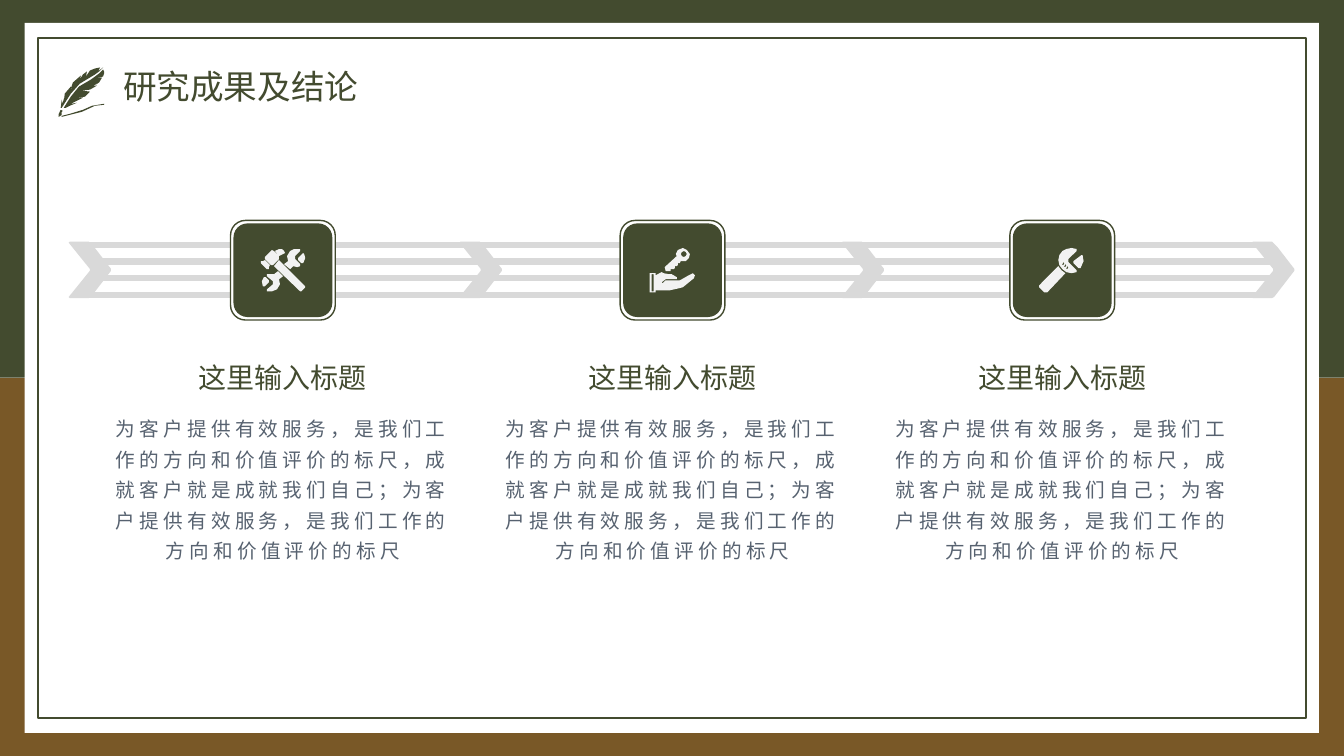
from dataclasses import dataclass

from lxml import etree
from pptx import Presentation
from pptx import util as u
from pptx.dml.color import RGBColor
from pptx.enum import shapes, text
from pptx.oxml.ns import qn


@dataclass(frozen=True)
class Theme:
    green: str = "434B2F"
    brown: str = "795827"
    white: str = "FFFFFF"
    track: str = "D9D9D9"
    icon: str = "F2F2F2"
    body: str = "576270"
    title_font: str = "Arial"
    text_font: str = "Noto Sans CJK SC"
    title_size: int = 24
    heading_size: int = 20
    body_size: int = 14


# Outlines: one contour a line, points in hundredths of an inch.
FEATHER = """45,36 45,37 36,38 23,44 3,49 3,48 11,46 24,42 33,38
44,2 45,4 45,6 44,9 36,11 43,10 40,15 35,17 39,16 34,18 38,18 31,22 23,23 31,24 26,29 15,31 24,30 12,36 8,37 18,35 11,38 7,40 5,40 12,29 20,19 32,12 40,6
41,0 39,4 44,0 40,4 36,7 21,16 12,26 3,40 2,40 3,32 4,36 5,31 5,34 6,26 12,19 13,23 12,21 14,15 22,8 21,12 24,7 28,4 27,9 31,3 36,1
2,42 4,43 3,44 3,47 0,49 0,46"""
CHEVRON = "0,1 1,0 20,0 25,5 42,27 42,29 22,55 20,56 1,56 0,55 21,29 21,27"
TOOLS = """5,29 6,29 9,32 9,34 5,38 3,38 2,33 4,29
18,23 23,28 19,31 20,36 17,41 12,43 7,43 7,41 13,36 13,33 7,28 7,26 14,26
19,12 45,38 45,39 41,43 40,43 14,18
5,12 10,17 9,19 9,21 7,21 1,15 1,13 3,13
43,5 44,6 45,10 43,15 41,15 38,12 38,10
12,2 14,3 19,8 19,11 13,17 11,17 5,11 5,9 11,3
19,1 22,1 24,3 25,5 19,8 15,3
37,1 40,1 40,3 35,8 35,11 40,16 40,18 37,19 33,18 30,21 24,16 28,13 27,8 30,3 34,1"""
KEY_IN_HAND = """0,25 6,25 6,27 12,24 14,25 19,26 22,26 27,29 27,31 16,31 12,34 13,35 14,34 16,32 27,32 30,32 32,31 39,27 43,25 45,27 44,30 33,39 29,40 20,42 15,42 6,42 6,44 0,44
2,26 2,43 4,43 4,26
33,0 37,2 40,6 39,10 36,13 31,13 30,15 28,15 28,17 27,18 25,18 25,20 24,21 21,21 21,23 17,23 16,23 15,19 27,8 26,6 28,2
34,3 36,4 37,6 36,8 34,9 32,8 31,6 32,4"""
WRENCH = """19,18 22,22 26,25 8,44 5,44 0,39 0,37
42,7 43,7 44,13 41,20 39,20 34,15 34,13
32,0 37,1 37,3 29,11 29,14 37,22 37,24 32,25 27,24 23,21 20,17 19,12 20,7 23,3 27,1
28,18 27,20 27,21 28,21 29,19
26,16 25,18 25,19 26,19 27,17
24,14 23,16 23,17 24,17 25,15"""

TITLE = "研究成果及结论"
HEADING = "这里输入标题"
BODY = ("为客户提供有效服务，是我们工作的方向和价值评价的标尺，成就客户就是成就我们自己；"
        "为客户提供有效服务，是我们工作的方向和价值评价的标尺")


class SlideBuilder:
    def __init__(self, slide, theme):
        self.slide = slide
        self.theme = theme

    def box(self, left, top, width, height, fill=None, line=None,
            line_width=1.0, corner=None):
        """Add a rectangle, rounded when a corner ratio is given."""
        kind = shapes.MSO_SHAPE.RECTANGLE if corner is None else shapes.MSO_SHAPE.ROUNDED_RECTANGLE
        shape = self.slide.shapes.add_shape(
            kind, u.Cm(left), u.Cm(top), u.Cm(width), u.Cm(height))
        if corner is not None:
            shape.adjustments[0] = corner
        self.paint(shape, fill, line, line_width)

    def paint(self, shape, fill, line=None, line_width=1.0):
        shape.shadow.inherit = False
        if fill:
            shape.fill.solid()
            shape.fill.fore_color.rgb = RGBColor.from_string(fill)
        else:
            shape.fill.background()
        if line:
            shape.line.color.rgb = RGBColor.from_string(line)
            shape.line.width = u.Pt(line_width)
        else:
            shape.line.fill.background()

    def outline(self, contours, left, top, fill):
        """Draw closed contours as one filled freeform."""
        polygons = [[tuple(map(int, point.split(","))) for point in row.split()]
                    for row in contours.splitlines()]
        builder = self.slide.shapes.build_freeform(*polygons[0][0], scale=u.Cm(2.54) / 100)
        for polygon in polygons:
            if polygon is not polygons[0]:
                builder.move_to(*polygon[0])
            builder.add_line_segments(polygon[1:], close=True)
        self.paint(builder.convert_to_shape(u.Cm(left), u.Cm(top)), fill)

    def rail(self, left, right, y):
        connector = self.slide.shapes.add_connector(
            shapes.MSO_CONNECTOR.STRAIGHT, u.Cm(left), u.Cm(y), u.Cm(right), u.Cm(y))
        connector.line.color.rgb = RGBColor.from_string(self.theme.track)
        connector.line.width = u.Pt(4.5)
        etree.SubElement(connector._element.spPr, qn("a:effectLst"))

    def set_text(self, shape, words, size, color, font, align, anchor):
        """Fill a shape with one formatted paragraph and return it."""
        frame = shape.text_frame
        frame.text = words
        frame.word_wrap = True
        frame.vertical_anchor = anchor
        paragraph = frame.paragraphs[0]
        paragraph.alignment = align
        run = paragraph.runs[0]
        run.font.size = u.Pt(size)
        run.font.color.rgb = RGBColor.from_string(color)
        run.font.name = font
        east_asian = etree.SubElement(run.font._element, qn("a:ea"))
        east_asian.set("typeface", self.theme.text_font)
        return paragraph

    def title(self, words, left, top, width, height):
        shape = self.slide.shapes.title
        shape.left, shape.top = u.Cm(left), u.Cm(top)
        shape.width, shape.height = u.Cm(width), u.Cm(height)
        self.slide.shapes._spTree.append(shape._element)  # bring in front of the panel
        paragraph = self.set_text(shape, words, self.theme.title_size, self.theme.green,
                                  self.theme.title_font, text.PP_ALIGN.LEFT,
                                  text.MSO_ANCHOR.MIDDLE)
        paragraph.line_spacing = 0.9

    def text_box(self, words, center, top, width, height, size, color, anchor):
        shape = self.slide.shapes.add_textbox(
            u.Cm(center - width / 2), u.Cm(top), u.Cm(width), u.Cm(height))
        shape.text_frame.margin_left = shape.text_frame.margin_right = u.Cm(0.2)
        return self.set_text(shape, words, size, color, self.theme.text_font,
                             text.PP_ALIGN.CENTER, anchor)

    def heading(self, words, center):
        self.text_box(words, center, 8.99, 7.11, 1.04, self.theme.heading_size,
                      self.theme.green, text.MSO_ANCHOR.MIDDLE)

    def body(self, words, center):
        paragraph = self.text_box(words, center, 10.21, 8.92, 4.55, self.theme.body_size,
                                  self.theme.body, text.MSO_ANCHOR.TOP)
        paragraph.line_spacing = u.Pt(21.8)
        paragraph.space_after = u.Pt(6)
        paragraph.runs[0].font._element.set("spc", "300")

    def tile(self, icon, center):
        middle, green = 6.81, self.theme.green
        for width, height, fill, line in ((2.64, 2.51, self.theme.white, green),
                                          (2.49, 2.36, green, None)):
            self.box(center - width / 2, middle - height / 2, width, height,
                     fill, line, corner=0.15)
        self.outline(icon, center - 0.58, 6.25, self.theme.icon)


def main():
    presentation = Presentation()
    presentation.slide_width, presentation.slide_height = u.Cm(33.87), u.Cm(19.05)
    theme = Theme()
    builder = SlideBuilder(
        presentation.slides.add_slide(presentation.slide_layouts[5]), theme)

    builder.box(0, 9.52, 33.87, 9.53, theme.brown)
    builder.box(0, 0, 33.87, 9.52, theme.green)
    builder.box(0.62, 0.58, 32.62, 17.89, theme.white)
    builder.box(0.96, 0.96, 31.96, 17.13, line=theme.green, line_width=1.5)
    builder.outline(FEATHER, 1.48, 1.7, theme.green)
    builder.title(TITLE, 2.85, 1.62, 15.24, 1.22)

    for index, (left, right) in enumerate(
            ((1.85, 32), (2.18, 32.18), (2.18, 32.18), (1.85, 32))):
        builder.rail(left, right, 6.17 + 0.42 * index)
    for left in (1.73, 11.58, 21.21, 31.55):
        builder.outline(CHEVRON, left, 6.09, theme.track)

    for index, icon in enumerate((TOOLS, KEY_IN_HAND, WRENCH)):
        center = 7.13 + 9.82 * index
        builder.tile(icon, center)
        builder.heading(HEADING, center)
        builder.body(BODY, center)

    presentation.save("out.pptx")


if __name__ == "__main__":
    main()
